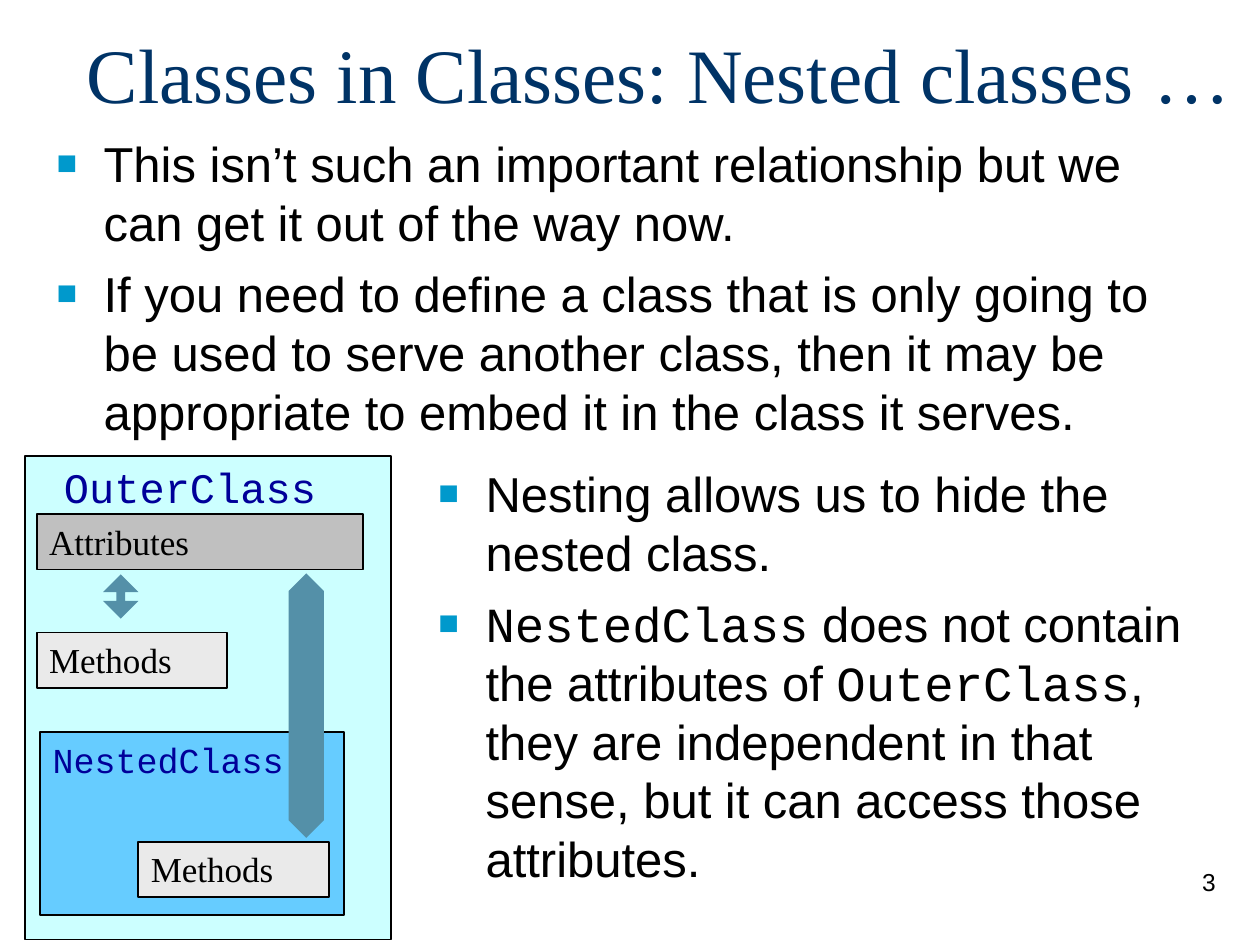
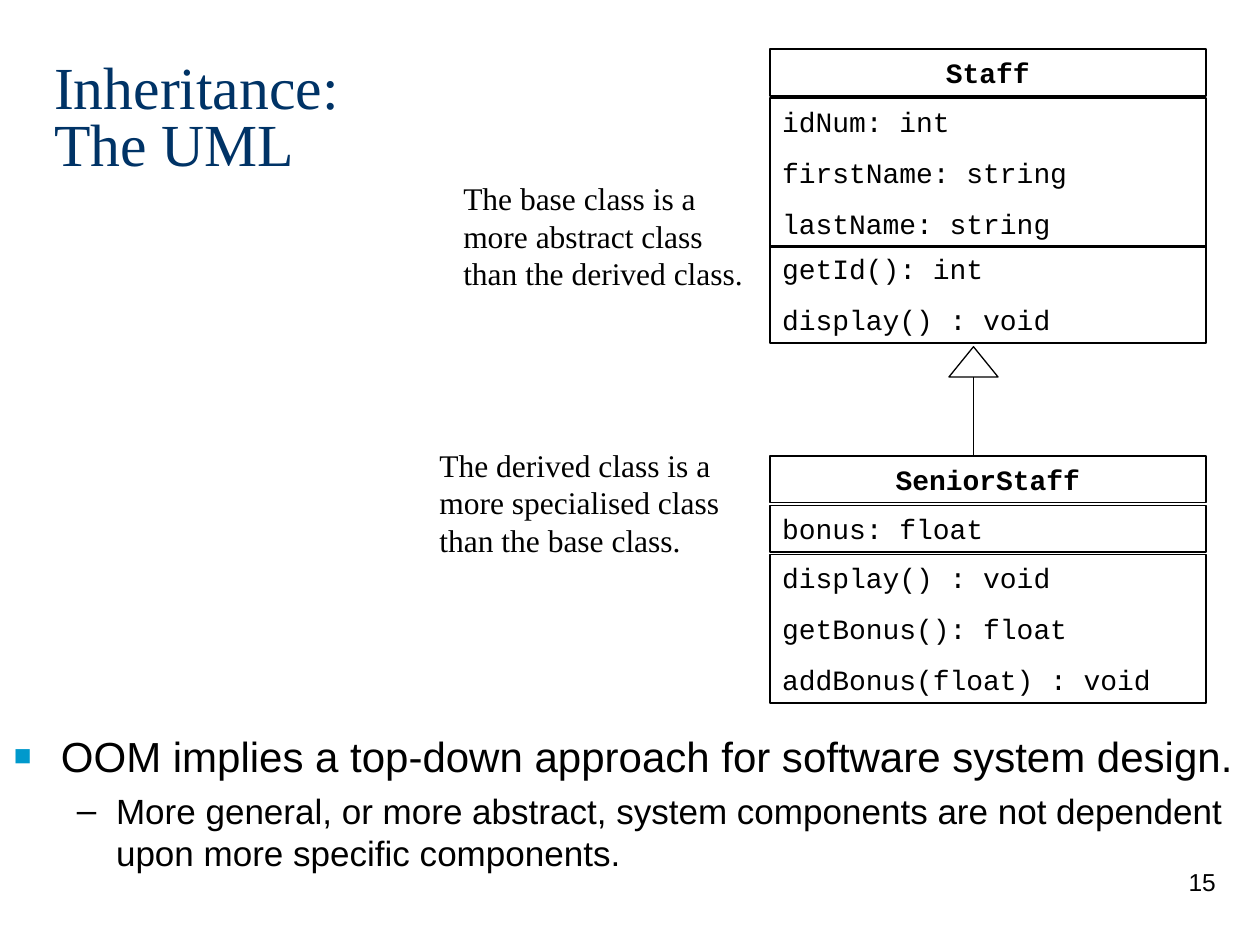
from lxml.etree import SubElement
from pptx import Presentation
from pptx.dml.color import RGBColor
from pptx.enum.shapes import MSO_CONNECTOR, MSO_SHAPE
from pptx.enum.text import MSO_ANCHOR, PP_ALIGN
from pptx.oxml.ns import qn
from pptx.util import Cm, Pt

# Shared style
hue = RGBColor.from_string
BLACK, NAVY, BLUE = "000000", "003366", "000099"
CYAN, STEEL, PALE = "0099CC", "5490A8", "EAEAEA"
SANS, MONO, SERIF = "Arial", "Courier New", "Times New Roman"
# Bullet levels: sign, colour, size in percent, left margin, hanging indent
LEVELS = [("■", CYAN, 70, 0.95, 0.95), ("–", BLACK, 100, 2.06, 0.79)]


def mark(para, level):
    """Give a paragraph the bullet of its level."""
    sign, tint, size, left, hang = LEVELS[level]
    para.level = level
    props = para._p.get_or_add_pPr()
    props.set("marL", str(Cm(left)))
    props.set("indent", str(-Cm(hang)))
    shade = SubElement(props, qn("a:buClr"))
    SubElement(shade, qn("a:srgbClr"), val=tint)
    SubElement(props, qn("a:buSzPct"), val=str(size * 1000))
    SubElement(props, qn("a:buFont"), typeface=SANS)
    SubElement(props, qn("a:buChar"), char=sign)


def box(page, at, lines=(), face=SERIF, size=20, tint=BLACK, fill=None,
        frame=False, gap=0, bold=None, align=PP_ALIGN.LEFT,
        anchor=MSO_ANCHOR.TOP, space=None, levels=()):
    """Add a framed rectangle or plain text; `...` sets words in code type."""
    place = [Cm(n) for n in at]
    if frame:
        item = page.shapes.add_shape(MSO_SHAPE.RECTANGLE, *place)
        item.shadow.inherit = False
        item.line.color.rgb = hue(BLACK)
        item.line.width = Pt(1)
        if fill:
            item.fill.solid()
            item.fill.fore_color.rgb = hue(fill)
        else:
            item.fill.background()
    else:
        item = page.shapes.add_textbox(*place)
    text = item.text_frame
    text.word_wrap = True
    text.vertical_anchor = anchor
    for i, line in enumerate(lines):
        para = text.add_paragraph() if i else text.paragraphs[0]
        para.alignment = align
        if space:
            para.line_spacing = space
        if i and gap:
            para.space_before = Pt(gap)
        if levels:
            mark(para, levels[i])
        para.font.name = face
        para.font.size = Pt(size - 4 * para.level)
        para.font.bold = bold
        para.font.color.rgb = hue(tint)
        for k, part in enumerate(line.split("`")):
            if part:
                run = para.add_run()
                run.text = part
                if k % 2:
                    run.font.name = MONO


deck = Presentation()
deck.slide_width, deck.slide_height = Cm(25.4), Cm(19.05)
nest, uml = [deck.slides.add_slide(deck.slide_layouts[6]) for _ in range(2)]

# Titles and page numbers
titles = [
    (nest, (1.5, 0, 23.9, 2.92), ["Classes in Classes: Nested classes …"],
     44, None, "3"),
    (uml, (0.84, 0.84, 8.2, 3.18), ["Inheritance:", "The UML"],
     34.1, 0.8, "15"),
]
for page, at, lines, size, space, num in titles:
    box(page, at, lines, size=size, tint=NAVY, space=space,
        anchor=MSO_ANCHOR.MIDDLE)
    box(page, (19.48, 17.35, 5.28, 1.27), [num], SANS, 14,
        align=PP_ALIGN.RIGHT)

# Nested classes: bullets
box(nest, (0.89, 2.57, 23.62, 6.4), [
    "This isn’t such an important relationship but we can get it out of "
    "the way now.",
    "If you need to define a class that is only going to be used to serve "
    "another class, then it may be appropriate to embed it in the class it "
    "serves.",
], SANS, 28, gap=7, levels=(0, 0))
box(nest, (8.59, 9.22, 15.93, 8.89), [
    "Nesting allows us to hide the nested class.",
    "`NestedClass` does not contain the attributes of `OuterClass`, they "
    "are independent in that sense, but it can access those attributes.",
], SANS, 28, gap=7, levels=(0, 0))

# Nested classes: diagram
box(nest, (0.51, 9.19, 7.37, 9.75), fill="CCFFFF", frame=True)
box(nest, (1.04, 9.17, 6.22, 1.27), ["OuterClass"], MONO, 24, BLUE)
box(nest, (0.74, 10.36, 6.58, 1.12), ["Attributes"], fill="C0C0C0", frame=True)
box(nest, (0.81, 14.76, 6.12, 3.68), ["NestedClass"], MONO, 20, BLUE,
    fill="66CCFF", frame=True)
for left, top in [(0.74, 12.75), (2.79, 16.97)]:
    box(nest, (left, top, 3.84, 1.12), ["Methods"], fill=PALE, frame=True)
for left, top, high, head in [(2.08, 11.58, 0.89, 0.25),
                              (5.82, 11.56, 5.33, 1.5)]:
    arrow = nest.shapes.add_shape(MSO_SHAPE.UP_DOWN_ARROW, Cm(left), Cm(top),
                                  Cm(0.71), Cm(high))
    arrow.adjustments[0], arrow.adjustments[1] = 0.5, head
    arrow.shadow.inherit = False
    arrow.fill.solid()
    arrow.fill.fore_color.rgb = hue(STEEL)
    arrow.line.fill.background()

# Inheritance: class boxes, with the name on top
cells = [
    (0.99, ["Staff"]),
    (1.98, ["idNum: int", "firstName: string", "lastName: string"]),
    (4.95, ["getId(): int", "display() : void"]),
    (9.19, ["SeniorStaff"]),
    (10.19, ["bonus: float"]),
    (11.18, ["display() : void", "getBonus(): float",
             "addBonus(float) : void"]),
]
for i, (top, lines) in enumerate(cells):
    name = i % 3 == 0
    high = 0.94 + 1.03 * (len(lines) - 1)
    box(uml, (15.52, top, 8.79, high), lines, MONO, 16, frame=True, gap=10,
        bold=name, align=PP_ALIGN.CENTER if name else PP_ALIGN.LEFT)

# Inheritance: arrow from derived to base class
tip = uml.shapes.add_shape(MSO_SHAPE.ISOSCELES_TRIANGLE, Cm(19.13), Cm(6.99),
                           Cm(0.99), Cm(0.61))
tip.shadow.inherit = False
tip.fill.background()
stem = uml.shapes.add_connector(MSO_CONNECTOR.STRAIGHT, Cm(19.63), Cm(7.6),
                                Cm(19.63), Cm(9.2))
SubElement(stem._element.spPr, qn("a:effectLst"))
for part in (tip, stem):
    part.line.color.rgb = hue(BLACK)
    part.line.width = Pt(0.75)

# Inheritance: notes beside the classes
notes = [
    (9.09, 3.48, "The base class is a more abstract class than the derived "
                 "class."),
    (8.61, 8.86, "The derived class is a more specialised class than the "
                 "base class."),
]
for left, top, note in notes:
    box(uml, (left, top, 6.4, 2.54), [note], size=18)

# Inheritance: bullets
box(uml, (0.03, 14.6, 25.25, 3.58), [
    "OOM implies a top-down approach for software system design.",
    "More general, or more abstract, system components are not dependent "
    "upon more specific components.",
], SANS, 24, gap=5, levels=(0, 1))

deck.save("out.pptx")
